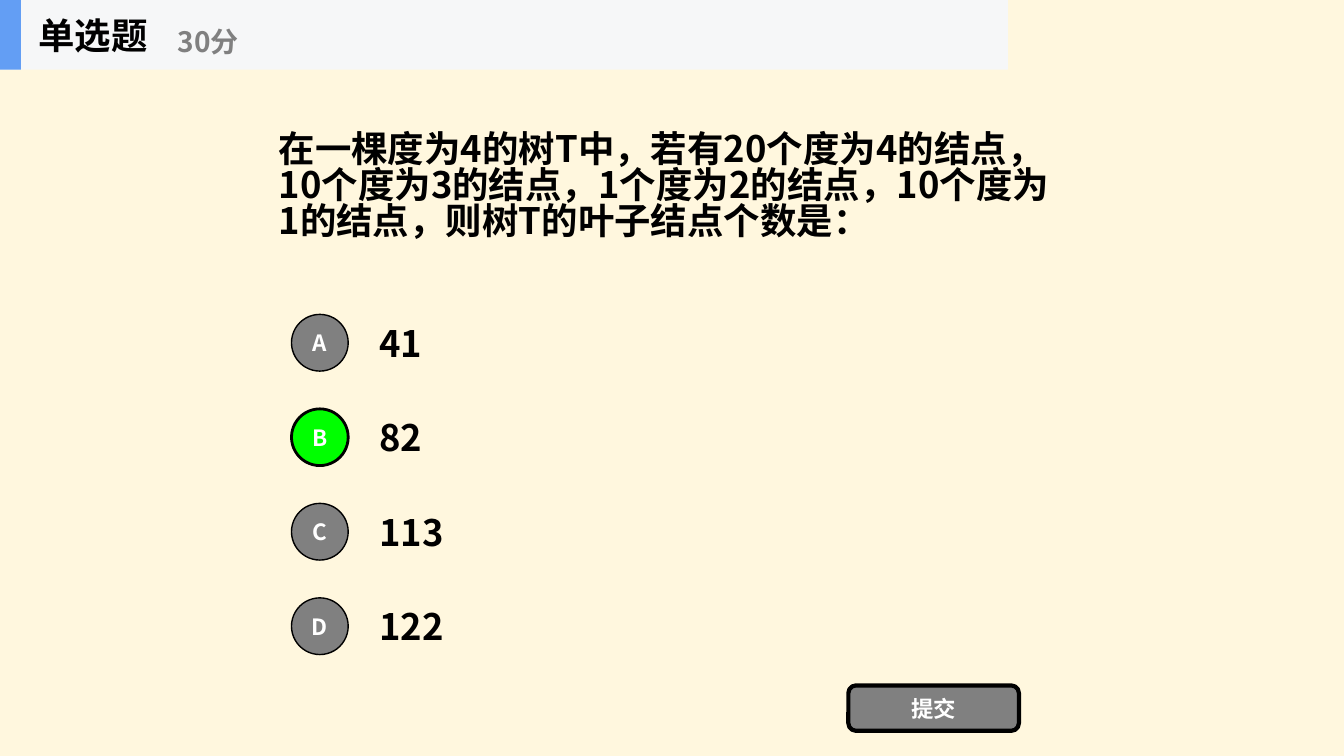
from dataclasses import dataclass

from lxml.etree import SubElement
from pptx import Presentation
from pptx.dml.color import RGBColor
from pptx.enum.shapes import MSO_SHAPE
from pptx.enum.text import MSO_ANCHOR, PP_ALIGN
from pptx.oxml.ns import qn
from pptx.util import Inches, Pt


@dataclass(frozen=True)
class Theme:
    font: str = "Noto Sans CJK SC"
    background: str = "FFF7DE"
    ink: str = "000000"
    muted: str = "808080"
    inverse: str = "FFFFFF"
    correct: str = "00FF00"
    band: str = "F6F7F8"
    accent: str = "639EF4"
    body_size: int = 26
    score_size: int = 20
    label_size: int = 16


THEME = Theme()
UNIT = Inches(1) / 12  # grid of 160 columns by 90 rows
COLUMNS, ROWS = 160, 90


def grid(*lengths):
    return [round(length * UNIT) for length in lengths]


def write(shape, text, size, color, align=PP_ALIGN.LEFT, line_spacing=None):
    frame = shape.text_frame
    frame.word_wrap = True
    frame.vertical_anchor = MSO_ANCHOR.MIDDLE
    paragraph = frame.paragraphs[0]
    for name, value in {"alignment": align, "line_spacing": line_spacing}.items():
        setattr(paragraph, name, value)
    run = paragraph.add_run()
    run.text = text
    for name, value in {"name": THEME.font, "size": Pt(size), "bold": True}.items():
        setattr(run.font, name, value)
    run.font.color.rgb = RGBColor.from_string(color)
    SubElement(run.font._element, qn("a:ea"), typeface=THEME.font)


def add_text(slide, box, text, size=THEME.body_size, color=THEME.ink, line_spacing=None):
    write(slide.shapes.add_textbox(*grid(*box)), text, size, color,
          line_spacing=line_spacing)


def add_block(slide, kind, box, fill, line_width=0, label=None):
    shape = slide.shapes.add_shape(kind, *grid(*box))
    shape.shadow.inherit = False
    shape.fill.solid()
    shape.fill.fore_color.rgb = RGBColor.from_string(fill)
    if line_width:
        shape.line.color.rgb = RGBColor.from_string(THEME.ink)
        shape.line.width = Pt(line_width)
    else:
        shape.line.fill.background()
    if label:
        for side in ("left", "right", "top", "bottom"):
            setattr(shape.text_frame, f"margin_{side}", 0)
        write(shape, label, THEME.label_size, THEME.inverse, PP_ALIGN.CENTER)


def add_header(slide, box, title, score):
    left, top, width, height = box
    add_block(slide, MSO_SHAPE.RECTANGLE, box, THEME.band)
    add_block(slide, MSO_SHAPE.RECTANGLE, (left, top, 2.5, height), THEME.accent)
    add_text(slide, (left + 3.4, top, 25, height), title)
    add_text(slide, (left + 20, top + 1.5, 30, height - 1.5), score,
             THEME.score_size, THEME.muted)


def add_options(slide, box, answers, correct):
    left, top, width, height = box
    pitch = height / len(answers)
    circle, text_height, text_offset = 6.75, 8.4, 9.3
    for index, (letter, answer) in enumerate(answers.items()):
        row_top = top + index * pitch
        chosen = letter == correct
        add_text(slide, (left + text_offset, row_top, width - text_offset, text_height),
                 answer)
        add_block(slide, MSO_SHAPE.OVAL,
                  (left, row_top + (text_height - circle) / 2, circle, circle),
                  THEME.correct if chosen else THEME.muted, 2 if chosen else 1, letter)


def build_choice_slide(presentation):
    slide = presentation.slides.add_slide(presentation.slide_layouts[6])
    slide.background.fill.solid()
    slide.background.fill.fore_color.rgb = RGBColor.from_string(THEME.background)
    # Question
    add_text(slide, (32, 8.3, 96, 28.1),
             "在一棵度为4的树T中，若有20个度为4的结点，10个度为3的结点，"
             "1个度为2的结点，10个度为1的结点，则树T的叶子结点个数是：",
             line_spacing=0.83)
    # Answers
    add_options(slide, (34.7, 36.6, 93.3, ROWS / 2),
                {"A": "41", "B": "82", "C": "113", "D": "122"}, correct="B")
    # Submit button
    add_block(slide, MSO_SHAPE.ROUNDED_RECTANGLE, (101, 81.6, 20.3, 5.4),
              THEME.muted, 3, "提交")
    # Header band
    add_header(slide, (0, 0, COLUMNS * 0.75, 8.3), "单选题", "30分")


def main():
    presentation = Presentation()
    presentation.slide_width, presentation.slide_height = grid(COLUMNS, ROWS)
    build_choice_slide(presentation)
    presentation.save("out.pptx")


if __name__ == "__main__":
    main()
